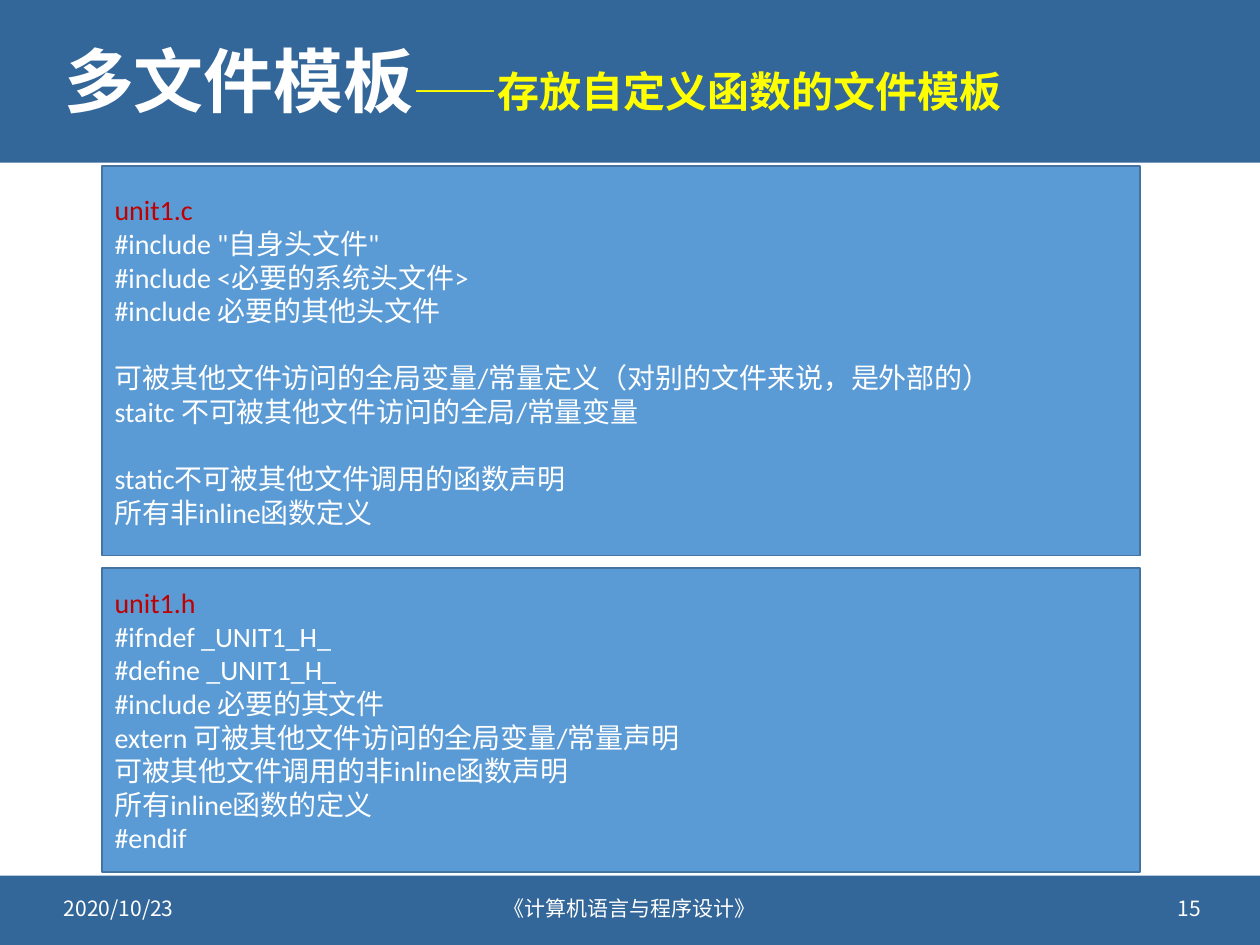
import pptx
import pptx.util
import pptx.dml.color
import pptx.enum.shapes
import pptx.enum.text
import pptx.oxml.ns
import lxml.etree

Pt = pptx.util.Pt
ALIGN = pptx.enum.text.PP_ALIGN
SANS = "Noto Sans CJK SC"
NAVY = "336699"
WHITE = "FFFFFF"
RED = "C00000"

SOURCE = [
    ["unit1.c", '#include "自身头文件"', "#include <必要的系统头文件>",
     "#include 必要的其他头文件"],
    ["可被其他文件访问的全局变量/常量定义（对别的文件来说，是外部的）",
     "staitc 不可被其他文件访问的全局/常量变量"],
    ["static不可被其他文件调用的函数声明", "所有非inline函数定义"],
]
HEADER = [
    ["unit1.h", "#ifndef _UNIT1_H_", "#define _UNIT1_H_",
     "#include 必要的其文件",
     "extern 可被其他文件访问的全局变量/常量声明",
     "可被其他文件调用的非inline函数声明",
     "所有inline函数的定义", "#endif"],
]


def color(code):
    return pptx.dml.color.RGBColor.from_string(code)


def write(para, text, size=16, face=SANS, ink=WHITE, bold=False):
    run = para.add_run()
    run.text = text
    font = run.font
    font.size = Pt(size)
    font.name = face
    font.bold = bold
    font.color.rgb = color(ink)
    east = lxml.etree.SubElement(run._r.rPr, pptx.oxml.ns.qn("a:ea"))
    east.set("typeface", SANS)


def frame(shape):
    body = shape.text_frame
    body.word_wrap = True
    body.vertical_anchor = pptx.enum.text.MSO_ANCHOR.MIDDLE
    return body


def block(slide, left, top, width, height, fill, edge=None):
    kind = pptx.enum.shapes.MSO_SHAPE.RECTANGLE
    shape = slide.shapes.add_shape(kind, Pt(left), Pt(top), Pt(width), Pt(height))
    shape.shadow.inherit = False
    shape.fill.solid()
    shape.fill.fore_color.rgb = color(fill)
    if edge:
        shape.line.color.rgb = color(edge)
        shape.line.width = Pt(1)
    else:
        shape.line.fill.background()
    return shape


def label(slide, left, top, width, height, align=ALIGN.LEFT):
    box = slide.shapes.add_textbox(Pt(left), Pt(top), Pt(width), Pt(height))
    para = frame(box).paragraphs[0]
    para.alignment = align
    return para


def panel(slide, top, height, groups):
    body = frame(block(slide, 58.4, top, 593.2, height, "5B9BD5", "43739E"))
    for part, lines in enumerate(groups):
        for row, text in enumerate(lines):
            first = part == row == 0
            para = body.paragraphs[0] if first else body.add_paragraph()
            para.alignment = ALIGN.LEFT
            if part and row == 0:
                para.space_before = Pt(19.2)
            write(para, text, face="Calibri", ink=RED if first else WHITE)


def main():
    deck = pptx.Presentation()
    deck.slide_width = Pt(720)
    deck.slide_height = Pt(540)
    slide = deck.slides.add_slide(deck.slide_layouts[6])

    block(slide, 0, 0, 720, 92.9, NAVY)
    block(slide, 0, 500.4, 720, 39.6, NAVY)

    for text, left, width, align in [
        ("2020/10/23", 29.5, 172.8, ALIGN.LEFT),
        ("《计算机语言与程序设计》", 230.4, 259.2, ALIGN.CENTER),
        ("15", 520.5, 172.8, ALIGN.RIGHT),
    ]:
        write(label(slide, left, 504.7, width, 28.8, align), text, size=12)

    title = label(slide, 29.5, 13, 661.7, 71.3)
    title.line_spacing = 0.9
    write(title, "多文件模板", size=40, bold=True)
    write(title, "——存放自定义函数的文件模板", size=24, ink="FFFF00", bold=True)

    panel(slide, 95, 222.5, SOURCE)
    panel(slide, 324.7, 173.5, HEADER)
    deck.save("out.pptx")


if __name__ == "__main__":
    main()
